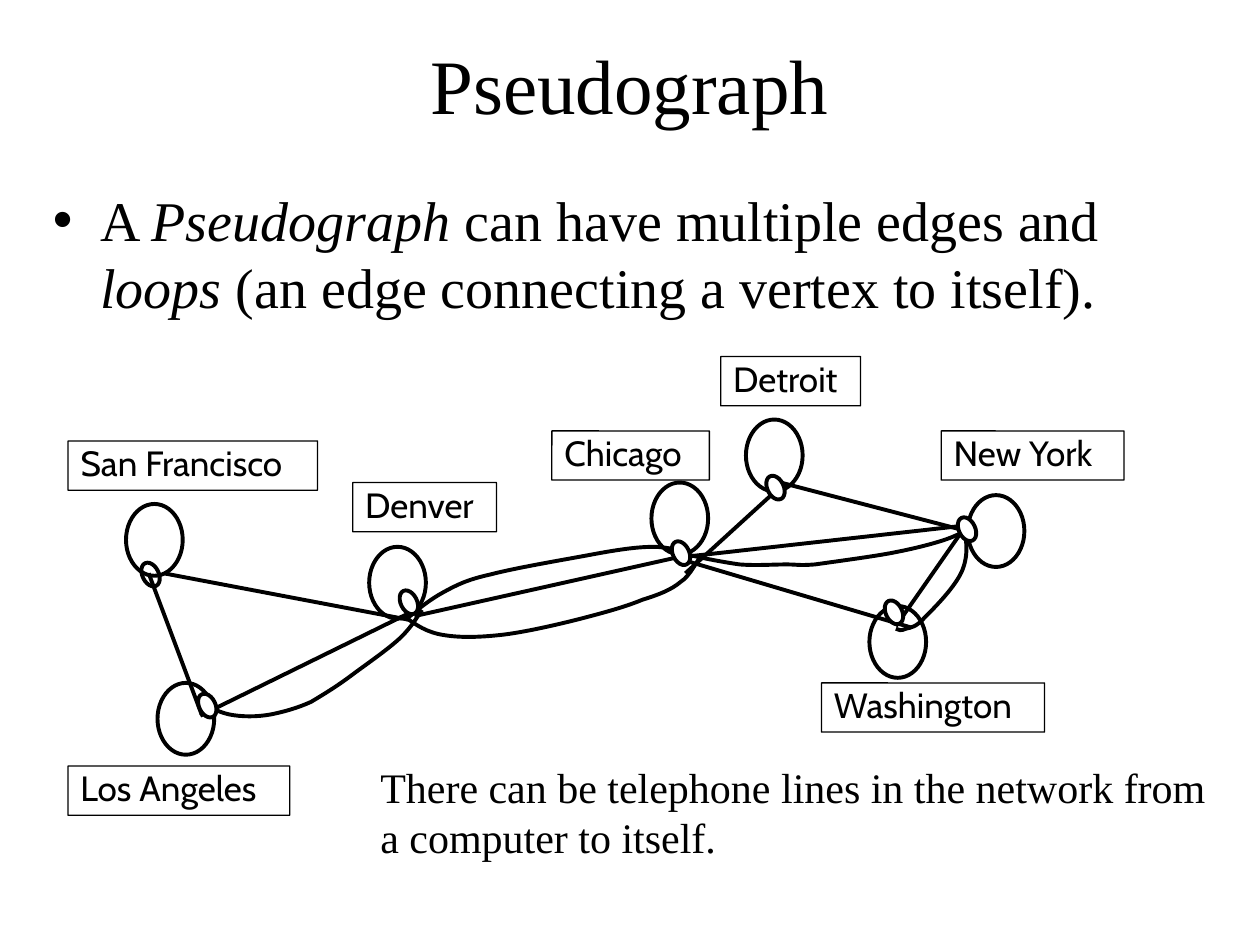
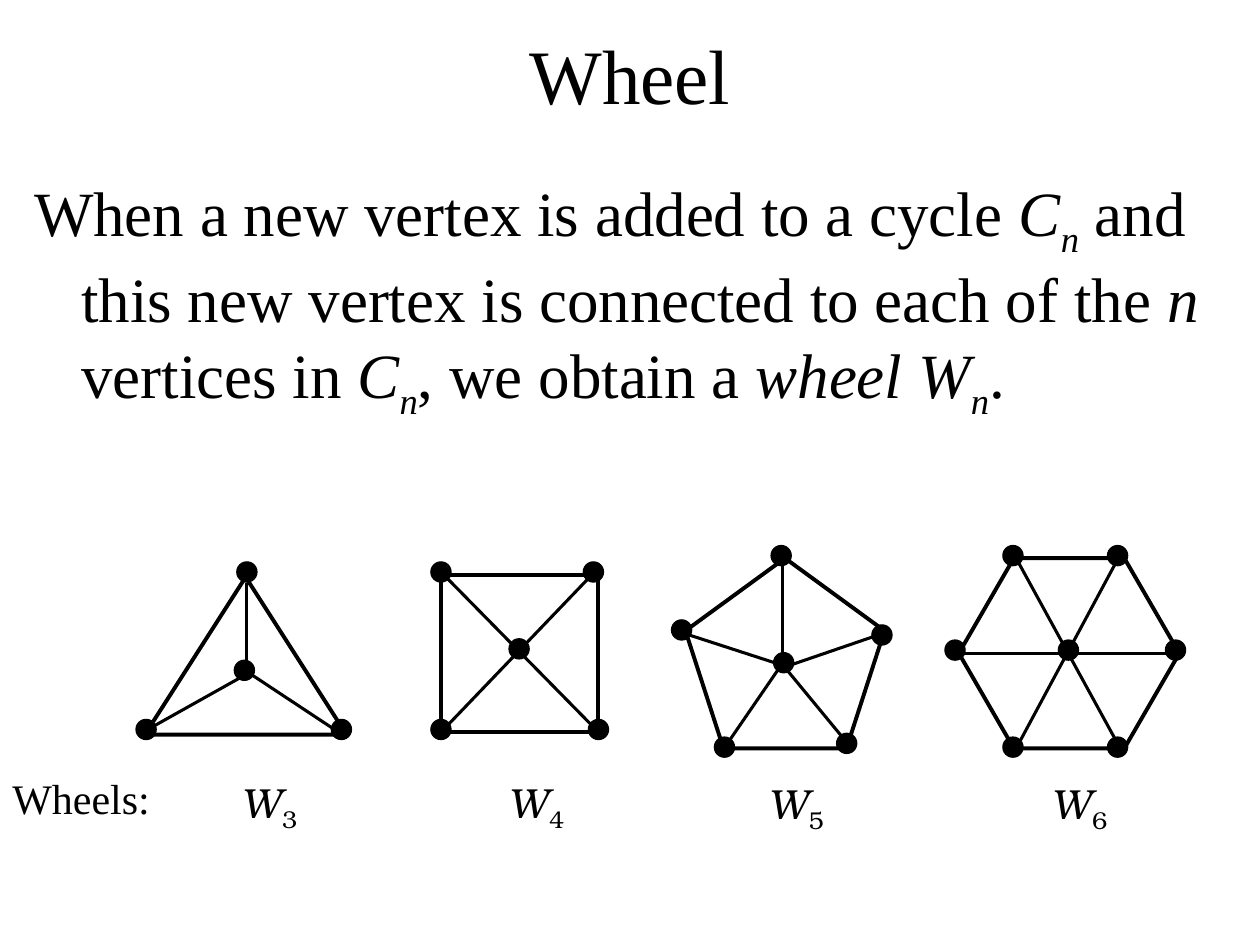
import pptx
import pptx.util
import pptx.dml.color
import pptx.enum.shapes
import pptx.enum.text
import pptx.oxml.ns
from lxml import etree

Inches, Pt = pptx.util.Inches, pptx.util.Pt
qn = pptx.oxml.ns.qn
SHAPE = pptx.enum.shapes.MSO_SHAPE
STRAIGHT = pptx.enum.shapes.MSO_CONNECTOR.STRAIGHT
ANCHOR = pptx.enum.text.MSO_ANCHOR
ALIGN = pptx.enum.text.PP_ALIGN

COLORS = {"ink": "000000", "paper": "FFFFFF"}
SERIF, LABEL_FONT, MATH_FONT = "Times New Roman", "Cabin", "TeX Gyre Bonum"
HEAVY, MEDIUM, THIN = 2.25, 1.75, 0.75
HANG = 0.375

# Text spans are (text, style): "i" is italic, "_" is subscript.
PSEUDOGRAPH_BODY = [
    ("A ", ""), ("Pseudograph", "i"), (" can have multiple edges and ", ""),
    ("loops", "i"), (" (an edge connecting a vertex to itself).", ""),
]
WHEEL_BODY = [
    ("When a new vertex is added to a cycle ", ""), ("C", "i"), ("n", "i_"),
    (" and this new vertex is connected to each of the ", ""), ("n", "i"),
    (" vertices in ", ""), ("C", "i"), ("n", "i_"), (", we obtain a ", ""),
    ("wheel W", "i"), ("n", "i_"), (".", ""),
]
NOTE = "There can be telephone lines in the network from a computer to itself."

# name: label (left, top, width), vertex (left, top), loop (left, top)
LABEL_HEIGHT, VERTEX_SIZE, LOOP_SIZE = 0.39, (0.13, 0.2), (0.45, 0.57)
VERTEX_TILT = 334
CITIES = {
    "San Francisco": ((0.54, 3.5, 1.98), (1.13, 4.46), (1, 4)),
    "Los Angeles": ((0.54, 6.08, 1.76), (1.58, 5.5), (1.25, 5.42)),
    "Denver": ((2.8, 3.83, 1.14), (3.18, 4.68), (2.93, 4.34)),
    "Chicago": ((4.38, 3.42, 1.25), (5.34, 4.29), (5.17, 3.83)),
    "Detroit": ((5.72, 2.83, 1.11), (6.09, 3.77), (5.92, 3.33)),
    "New York": ((7.47, 3.42, 1.45), (7.61, 4.1), (7.68, 3.93)),
    "Washington": ((6.52, 5.42, 1.77), (7.03, 4.76), (6.9, 4.81)),
}
STRAIGHT_EDGES = [
    ((1.18, 4.55), (1.6, 5.67)), ((6.23, 3.83), (5.44, 4.55)),
    ((1.3, 4.55), (3.25, 4.92)), ((3.32, 4.83), (1.59, 5.68)),
    ((6.12, 3.81), (7.73, 4.23)), ((5.34, 4.43), (7.67, 4.17)),
    ((5.34, 4.42), (7.23, 4.98)), ((5.48, 4.4), (3.29, 4.89)),
    ((7.11, 4.97), (7.64, 4.21)),
]
# Bézier chains: a start, then two handles and an end per segment
CURVED_EDGES = [
    [(1.58, 5.57), (1.66, 5.61), (1.73, 5.65), (1.82, 5.67),
     (1.92, 5.69), (2.04, 5.69), (2.15, 5.67), (2.25, 5.65), (2.36, 5.62), (2.47, 5.57),
     (2.57, 5.51), (2.67, 5.45), (2.79, 5.36), (2.91, 5.27), (3.1, 5.14), (3.19, 5.05),
     (3.28, 4.96), (3.32, 4.88), (3.35, 4.84)],
    [(3.22, 4.9), (3.3, 4.96), (3.39, 5.02), (3.52, 5.04),
     (3.64, 5.06), (3.78, 5.06), (3.97, 5.04), (4.16, 5.02), (4.46, 4.95), (4.65, 4.9),
     (4.84, 4.85), (4.98, 4.81), (5.1, 4.76), (5.23, 4.72), (5.33, 4.68), (5.4, 4.62),
     (5.48, 4.57), (5.53, 4.45), (5.56, 4.42)],
    [(3.22, 4.92), (3.31, 4.84), (3.41, 4.76), (3.52, 4.7),
     (3.63, 4.64), (3.71, 4.6), (3.89, 4.56), (4.08, 4.51), (4.43, 4.45), (4.65, 4.41),
     (4.86, 4.37), (5.04, 4.34), (5.18, 4.34), (5.31, 4.34), (5.4, 4.37), (5.48, 4.41)],
    [(7.64, 4.14), (7.67, 4.27), (7.69, 4.39), (7.64, 4.52),
     (7.59, 4.65), (7.42, 4.82), (7.34, 4.9), (7.27, 4.98), (7.23, 4.98), (7.19, 4.99),
     (7.15, 5.01), (7.13, 5), (7.11, 4.99)],
    [(5.41, 4.39), (5.57, 4.43), (5.73, 4.46), (5.87, 4.48),
     (6, 4.49), (6.14, 4.48), (6.24, 4.48), (6.34, 4.48), (6.33, 4.49), (6.47, 4.48),
     (6.61, 4.46), (6.91, 4.42), (7.07, 4.39), (7.23, 4.36), (7.35, 4.33), (7.45, 4.3),
     (7.55, 4.27), (7.61, 4.24), (7.67, 4.21)],
]

DOT = 0.16
WHEELS = [
    {"rim": SHAPE.ISOSCELES_TRIANGLE, "box": (1.15, 4.58, 1.6, 1.25),
     "label": (1.82, 6.11),
     "dots": [(1.08, 5.71), (1.88, 4.46), (2.63, 5.71)], "hub": (1.86, 5.24),
     "spokes": [((1.96, 4.63), (1.96, 5.29)), ((1.94, 5.36), (1.19, 5.78)),
                ((1.99, 5.35), (2.64, 5.78))]},
    {"rim": SHAPE.RECTANGLE, "box": (3.5, 4.56, 1.25, 1.25), "label": (3.94, 6.11),
     "dots": [(3.42, 5.71), (3.42, 4.46), (4.63, 4.46), (4.67, 5.71)],
     "hub": (4.04, 5.07),
     "spokes": [((4.68, 4.58), (3.53, 5.78)), ((3.54, 4.58), (4.72, 5.78))]},
    {"rim": SHAPE.HEXAGON, "box": (7.61, 4.43, 1.75, 1.51), "label": (8.25, 6.12),
     "dots": [(9.25, 5.08), (8.79, 4.33), (8.79, 5.85), (7.96, 5.85), (7.5, 5.08),
              (7.96, 4.33)],
     "hub": (8.4, 5.08),
     "spokes": [((8.07, 4.44), (8.88, 5.92)), ((8.87, 4.44), (8.07, 5.93)),
                ((9.27, 5.19), (7.62, 5.19))]},
    {"rim": SHAPE.REGULAR_PENTAGON, "box": (5.44, 4.43, 1.58, 1.51),
     "label": (6, 6.12),
     "dots": [(6.12, 4.33), (6.92, 4.96), (6.64, 5.82), (5.67, 5.85), (5.33, 4.92)],
     "hub": (6.14, 5.18),
     "spokes": [((6.21, 4.46), (6.21, 5.22)), ((6.24, 5.31), (6.71, 5.88)),
                ((5.44, 5.03), (6.21, 5.28)), ((6.22, 5.25), (5.76, 5.92)),
                ((6.24, 5.29), (6.97, 5.04))]},
]


def rgb(name):
    return pptx.dml.color.RGBColor.from_string(COLORS[name])


def write(para, spans, size, font=SERIF):
    for text, style in spans:
        span = para.add_run()
        span.text = text
        span.font.size, span.font.name = Pt(size), font
        span.font.italic = "i" in style
        span.font.color.rgb = rgb("ink")
        if "_" in style:
            span.font._element.set("baseline", "-25000")


def place(shape, box):
    shape.left, shape.top, shape.width, shape.height = map(Inches, box)


def outline(shape, weight, fill=None):
    shape.shadow.inherit = False
    shape.line.color.rgb = rgb("ink")
    shape.line.width = Pt(weight)
    if fill:
        shape.fill.solid()
        shape.fill.fore_color.rgb = rgb(fill)
    else:
        shape.fill.background()


def add_shape(shapes, kind, box, weight, fill=None):
    shape = shapes.add_shape(kind, *map(Inches, box))
    outline(shape, weight, fill)
    return shape


def add_line(shapes, ends, weight):
    start, end = ends
    line = shapes.add_connector(STRAIGHT, *map(Inches, start + end))
    line.line.color.rgb = rgb("ink")
    line.line.width = Pt(weight)
    etree.SubElement(line._element.spPr, qn("a:effectLst"))


def add_curve(shapes, chain):
    """Draw the chain as straight pieces, then turn every three into one Bézier."""
    start, *points = [tuple(map(Inches, point)) for point in chain]
    builder = shapes.build_freeform(*start)
    builder.add_line_segments(points, close=False)
    curve = builder.convert_to_shape()
    pieces = list(curve._element.iter(qn("a:lnTo")))
    for first in range(0, len(pieces), 3):
        bend = etree.Element(qn("a:cubicBezTo"))
        pieces[first].addprevious(bend)
        for piece in pieces[first:first + 3]:
            bend.append(piece[0])
            piece.getparent().remove(piece)
    outline(curve, HEAVY)


def add_text(shapes, box, spans, size, font=SERIF, wrap=True):
    frame = shapes.add_textbox(*map(Inches, box)).text_frame
    frame.word_wrap = wrap
    write(frame.paragraphs[0], spans, size, font)
    return frame


def add_page(deck, title, title_box, body, body_box, size, bullet):
    page = deck.slides.add_slide(deck.slide_layouts[1])
    heading, content = page.placeholders
    for holder, box in ((heading, title_box), (content, body_box)):
        place(holder, box)
        holder.text_frame.auto_size = pptx.enum.text.MSO_AUTO_SIZE.NONE
    heading.text_frame.vertical_anchor = ANCHOR.MIDDLE
    para = heading.text_frame.paragraphs[0]
    para.alignment = ALIGN.CENTER
    write(para, [(title, "")], 44)

    para = content.text_frame.paragraphs[0]
    properties = para._p.get_or_add_pPr()
    properties.set("marL", str(Inches(HANG)))
    properties.set("indent", str(-Inches(HANG)))
    if bullet:
        mark = etree.SubElement(properties, qn("a:buChar"))
        mark.set("char", bullet)
    else:
        etree.SubElement(properties, qn("a:buNone"))
    para.space_before = Pt(0)
    write(para, body, size)
    return page, content


def add_vertex(shapes, corner):
    vertex = add_shape(shapes, SHAPE.OVAL, corner + VERTEX_SIZE, HEAVY, "paper")
    vertex.rotation = VERTEX_TILT


def add_city_label(shapes, name, spot):
    label = add_shape(shapes, SHAPE.ROUNDED_RECTANGLE, spot + (LABEL_HEIGHT,), THIN)
    label.adjustments[0] = 0.004
    frame = label.text_frame
    frame.word_wrap = True
    frame.vertical_anchor = ANCHOR.TOP
    para = frame.paragraphs[0]
    para.alignment = ALIGN.LEFT
    para.line_spacing = 0.87
    write(para, [(name, "")], 20, LABEL_FONT)


def build_pseudograph(deck):
    page, content = add_page(deck, "Pseudograph", (0.33, 0.25, 9.33, 0.83),
                             PSEUDOGRAPH_BODY, (0.42, 1.42, 9.29, 1.42), 32, "•")
    content.text_frame.margin_left = content.text_frame.margin_right = 0
    shapes = page.shapes
    note = add_text(shapes, (2.92, 6, 6.83, 0.9), [(NOTE, "")], 24)
    note.paragraphs[0].line_spacing = Pt(28.6)

    labels, vertices, loops = zip(*CITIES.values())
    add_vertex(shapes, vertices[0])
    for ends in STRAIGHT_EDGES:
        add_line(shapes, ends, HEAVY)
    for name, spot in zip(CITIES, labels):
        add_city_label(shapes, name, spot)
    for chain in CURVED_EDGES:
        add_curve(shapes, chain)
    for loop in loops:
        add_shape(shapes, SHAPE.OVAL, loop + LOOP_SIZE, HEAVY)
    for vertex in vertices[1:]:
        add_vertex(shapes, vertex)


def build_wheels(deck):
    page, _ = add_page(deck, "Wheel", (0.5, 0.17, 9, 0.83),
                       WHEEL_BODY, (0.17, 1.33, 9.5, 2.17), 36, None)
    for wheel in WHEELS:
        shapes = page.shapes.add_group_shape().shapes
        rim = add_shape(shapes, wheel["rim"], wheel["box"], HEAVY)
        if wheel["rim"] == SHAPE.HEXAGON:
            rim.adjustments[0] = 0.289
        for corner in wheel["dots"] + [wheel["hub"]]:
            add_shape(shapes, SHAPE.OVAL, corner + (DOT, DOT), THIN, "ink")
        name = [("W", "i"), (str(len(wheel["dots"])), "_")]
        add_text(shapes, wheel["label"] + (0.64, 0.56), name, 24, MATH_FONT, wrap=False)
        for ends in wheel["spokes"]:
            add_line(shapes, ends, MEDIUM)
    add_text(page.shapes, (0, 6.08, 1.5, 0.5), [("Wheels:", "")], 24)


def main():
    deck = pptx.Presentation()
    deck.slide_width, deck.slide_height = Inches(10), Inches(7.5)
    build_pseudograph(deck)
    build_wheels(deck)
    deck.save("out.pptx")


if __name__ == "__main__":
    main()
